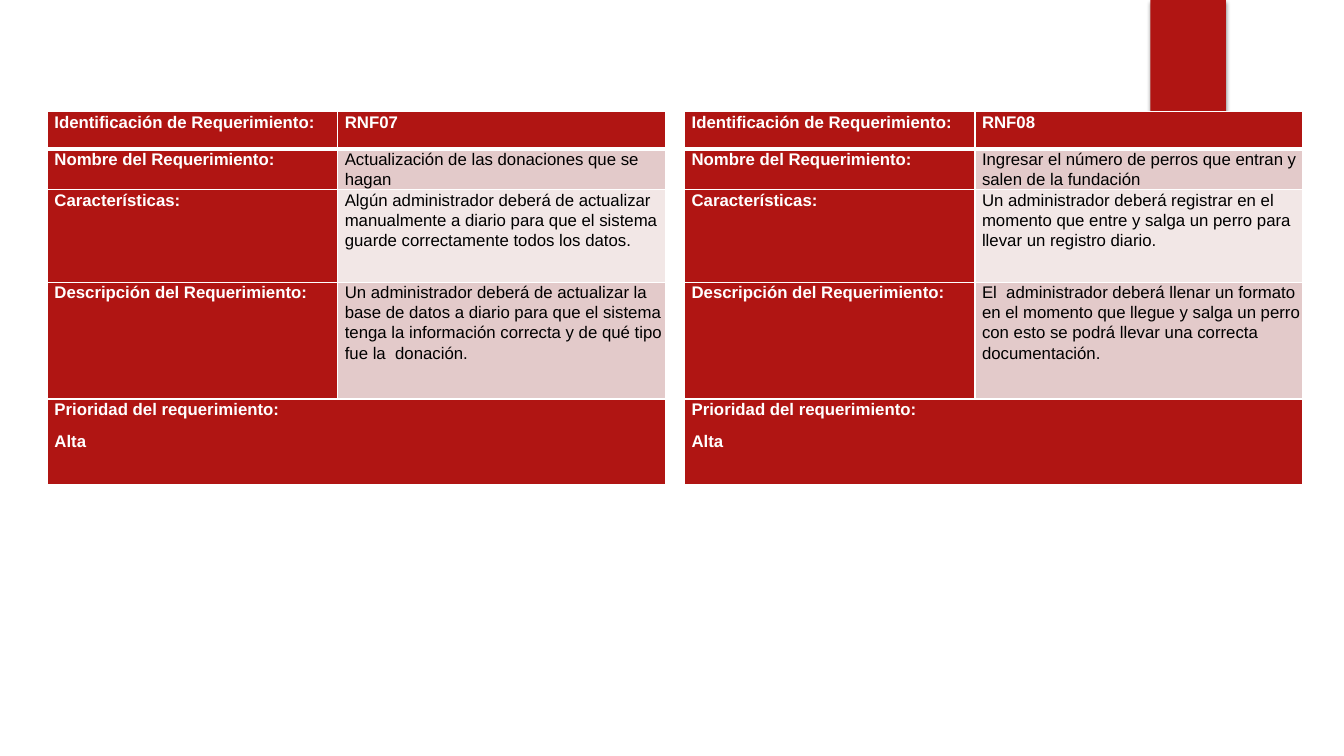
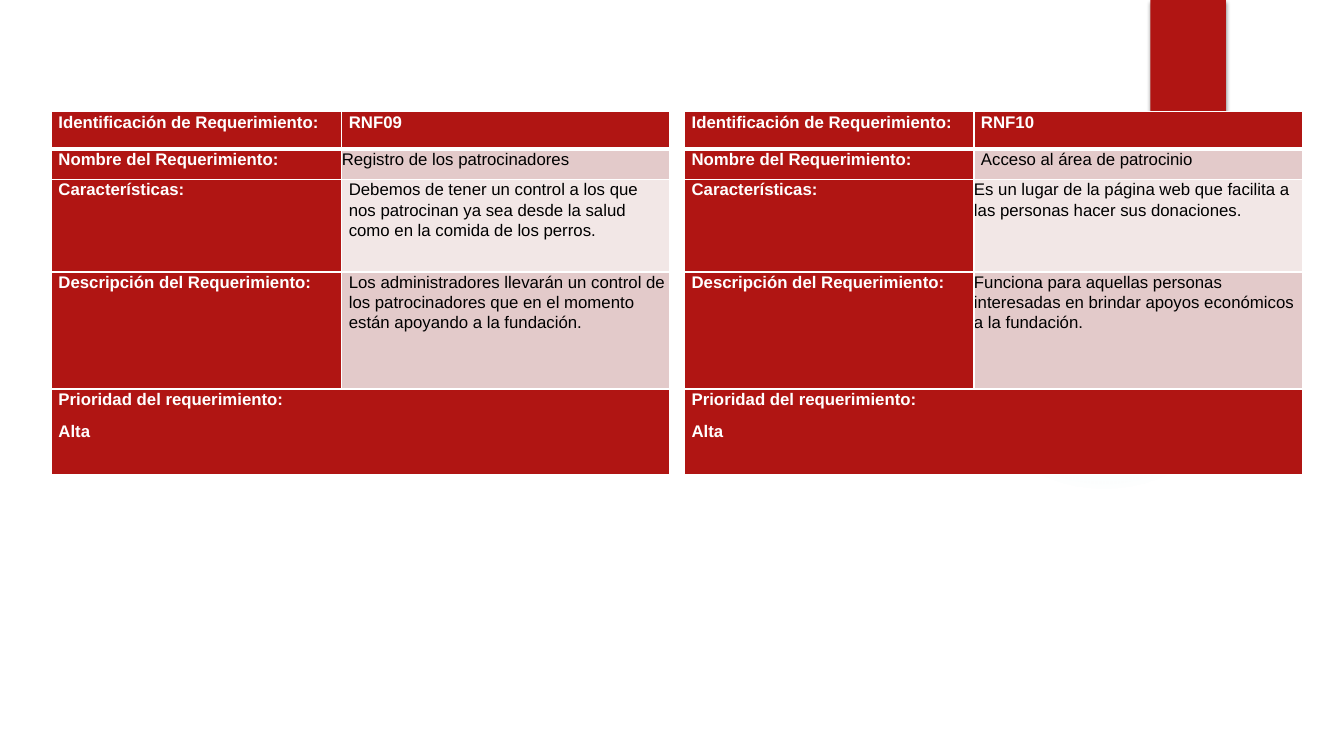
"""Build two slides of paired requirement tables under a shared red tab."""
import dataclasses

import pptx
import pptx.dml.color
import pptx.enum.shapes
import pptx.oxml
import pptx.oxml.ns
import pptx.util

COLORS = {
    "red": "B01513",
    "band_dark": "E3CACA",
    "band_light": "F2E7E6",
    "glow": "4CB9C3",
    "white": "FFFFFF",
    "black": "000000",
}
SLIDE_WIDTH, SLIDE_HEIGHT = 13.33, 7.5
FONT, FONT_SIZE = "Arial", 12
INDENT, LINE_SPACING, PRIORITY_GAP = 0.07, 1.07, 8.2
TABLE_TOP, TABLE_WIDTH, RIGHT_TABLE = 1.11, 6.13, 6.79
ROW_HEIGHTS = (0.37, 0.3, 0.92, 1.16, 0.85)
LABELS = (
    "Identificación de Requerimiento:",
    "Nombre del Requerimiento:",
    "Características:",
    "Descripción del Requerimiento:",
)
PRIORITY = "Prioridad del requerimiento:\nAlta"
VALUE_FILLS = ("red", "band_dark", "band_light", "band_dark")
GLOW_STOPS = ((0, 7), (36, 6), (69, 0), (100, 0))


@dataclasses.dataclass
class Requirement:
    """Hold one table's place, values and the rows whose value has no indent."""

    left: float
    values: tuple
    flush_rows: tuple = ()
    label_width: float = 2.88


SLIDES = (
    (
        Requirement(0.47, (
            "RNF07",
            "Actualización de las donaciones que se hagan",
            "Algún administrador deberá de actualizar manualmente a diario para que "
            "el sistema guarde correctamente todos los datos.",
            "Un administrador deberá de actualizar la base de datos a diario para que "
            "el sistema tenga la información correcta y de qué tipo fue la  donación.",
        )),
        Requirement(RIGHT_TABLE, (
            "RNF08",
            "Ingresar el número de perros que entran y salen de la fundación",
            "Un administrador deberá registrar en el momento que entre y salga un "
            "perro para llevar un registro diario.",
            "El  administrador deberá llenar un formato en el momento que llegue y "
            "salga un perro con esto se podrá llevar una correcta documentación.",
        )),
    ),
    (
        Requirement(RIGHT_TABLE, (
            "RNF10",
            "Acceso al área de patrocinio",
            "Es un lugar de la página web que facilita a las personas hacer sus "
            "donaciones.",
            "Funciona para aquellas personas interesadas en brindar apoyos "
            "económicos a la fundación.",
        ), flush_rows=(2, 3), label_width=2.87),
        Requirement(0.51, (
            "RNF09",
            "Registro de los patrocinadores",
            "Debemos de tener un control a los que nos patrocinan ya sea desde la "
            "salud como en la comida de los perros.",
            "Los administradores llevarán un control de los patrocinadores que en el "
            "momento están apoyando a la fundación.",
        ), flush_rows=(1,)),
    ),
)


def inches(*lengths):
    """Convert lengths in inches to a list of slide units."""
    return [pptx.util.Inches(length) for length in lengths]


def rgb(name):
    """Return the named colour."""
    return pptx.dml.color.RGBColor.from_string(COLORS[name])


def drawing_xml(markup):
    """Parse markup whose root lacks the drawing namespace."""
    tag, rest = markup.split(" ", 1)
    return pptx.oxml.parse_xml(f"{tag} {pptx.oxml.ns.nsdecls('a')} {rest}")


def add_plain_shape(page, kind, left, top, width, height):
    """Add a preset shape without line or inherited shadow."""
    shape = page.shapes.add_shape(kind, *inches(left, top, width, height))
    shape.line.fill.background()
    shape.shadow.inherit = False
    return shape


def add_glow(page):
    """Add the faint round glow."""
    kind = pptx.enum.shapes.MSO_SHAPE.OVAL
    glow = add_plain_shape(page, kind, 9.41, 1.83, 3.08, 3.08)
    stops = "".join(
        f'<a:gs pos="{place * 1000}"><a:srgbClr val="{COLORS["glow"]}">'
        f'<a:alpha val="{opacity * 1000}"/></a:srgbClr></a:gs>'
        for place, opacity in GLOW_STOPS
    )
    gradient = drawing_xml(
        f'<a:gradFill rotWithShape="1"><a:gsLst>{stops}</a:gsLst>'
        '<a:path path="circle"><a:fillToRect l="50000" t="50000" r="50000" '
        'b="50000"/></a:path></a:gradFill>'
    )
    glow.element.spPr.find(pptx.oxml.ns.qn("a:prstGeom")).addnext(gradient)
    return glow


def add_tab(page):
    """Add the red tab hanging from the top edge with its soft shadow."""
    kind = pptx.enum.shapes.MSO_SHAPE.RECTANGLE
    tab = add_plain_shape(page, kind, 11.41, 0, 0.75, 1.25)
    tab.fill.solid()
    tab.fill.fore_color.rgb = rgb("red")
    blur, distance = pptx.util.Pt(3), pptx.util.Pt(2)
    shadow = drawing_xml(
        f'<a:outerShdw blurRad="{blur}" dist="{distance}" dir="5400000" '
        f'rotWithShape="0"><a:srgbClr val="{COLORS["black"]}">'
        '<a:alpha val="45000"/></a:srgbClr></a:outerShdw>'
    )
    tab.element.spPr.find(pptx.oxml.ns.qn("a:effectLst")).append(shadow)
    return tab


def move_to_layout(layout, shapes):
    """Replace the layout's placeholders with the given shapes."""
    for placeholder in list(layout.placeholders):
        placeholder.element.getparent().remove(placeholder.element)
    for shape in shapes:
        layout.shapes.element.append(shape.element)


def set_borders(cell, row):
    """Draw white cell borders, thicker beneath the heading row."""
    widths = {"L": 1, "R": 1, "T": 3 if row == 1 else 1, "B": 3 if row == 0 else 1}
    properties = cell._tc.get_or_add_tcPr()
    for side, width in widths.items():
        properties.append(drawing_xml(
            f'<a:ln{side} w="{pptx.util.Pt(width)}"><a:solidFill>'
            f'<a:srgbClr val="{COLORS["white"]}"/></a:solidFill></a:ln{side}>'
        ))


def fill_cell(cell, row, text, fill, indent=INDENT):
    """Write and format one table cell."""
    set_borders(cell, row)
    cell.fill.solid()
    cell.fill.fore_color.rgb = rgb(fill)
    cell.margin_left = pptx.util.Inches(indent)
    cell.margin_right = cell.margin_top = cell.margin_bottom = 0
    cell.text_frame.text = text
    on_red = fill == "red"
    for number, para in enumerate(cell.text_frame.paragraphs):
        para.line_spacing = LINE_SPACING
        para.space_before = pptx.util.Pt(PRIORITY_GAP if number else 0)
        para.font.size = pptx.util.Pt(FONT_SIZE)
        for span in para.runs:
            span.font.name = FONT
            span.font.size = pptx.util.Pt(FONT_SIZE)
            span.font.bold = on_red
            span.font.color.rgb = rgb("white" if on_red else "black")


def add_requirement(page, requirement):
    """Add one requirement table."""
    frame = page.shapes.add_table(
        len(ROW_HEIGHTS), 2,
        *inches(requirement.left, TABLE_TOP, TABLE_WIDTH, sum(ROW_HEIGHTS)),
    )
    table = frame.table
    table.first_row = table.horz_banding = False
    label_width = requirement.label_width
    widths = inches(label_width, TABLE_WIDTH - label_width)
    for column, width in zip(table.columns, widths):
        column.width = width
    for row, height in zip(table.rows, inches(*ROW_HEIGHTS)):
        row.height = height
    rows = zip(LABELS, requirement.values, VALUE_FILLS)
    for row, (label, value, fill) in enumerate(rows):
        indent = 0 if row in requirement.flush_rows else INDENT
        fill_cell(table.cell(row, 0), row, label, "red")
        fill_cell(table.cell(row, 1), row, value, fill, indent)
    last = len(LABELS)
    table.cell(last, 0).merge(table.cell(last, 1))
    fill_cell(table.cell(last, 0), last, PRIORITY, "red")
    set_borders(table.cell(last, 1), last)


def main():
    """Build and save the deck."""
    deck = pptx.Presentation()
    deck.slide_width, deck.slide_height = inches(SLIDE_WIDTH, SLIDE_HEIGHT)
    layout = deck.slide_layouts.get_by_name("Blank")
    pages = [deck.slides.add_slide(layout) for _ in SLIDES]
    move_to_layout(layout, [add_glow(pages[0]), add_tab(pages[0])])
    for page, requirements in zip(pages, SLIDES):
        for requirement in requirements:
            add_requirement(page, requirement)
    deck.save("out.pptx")


if __name__ == "__main__":
    main()
